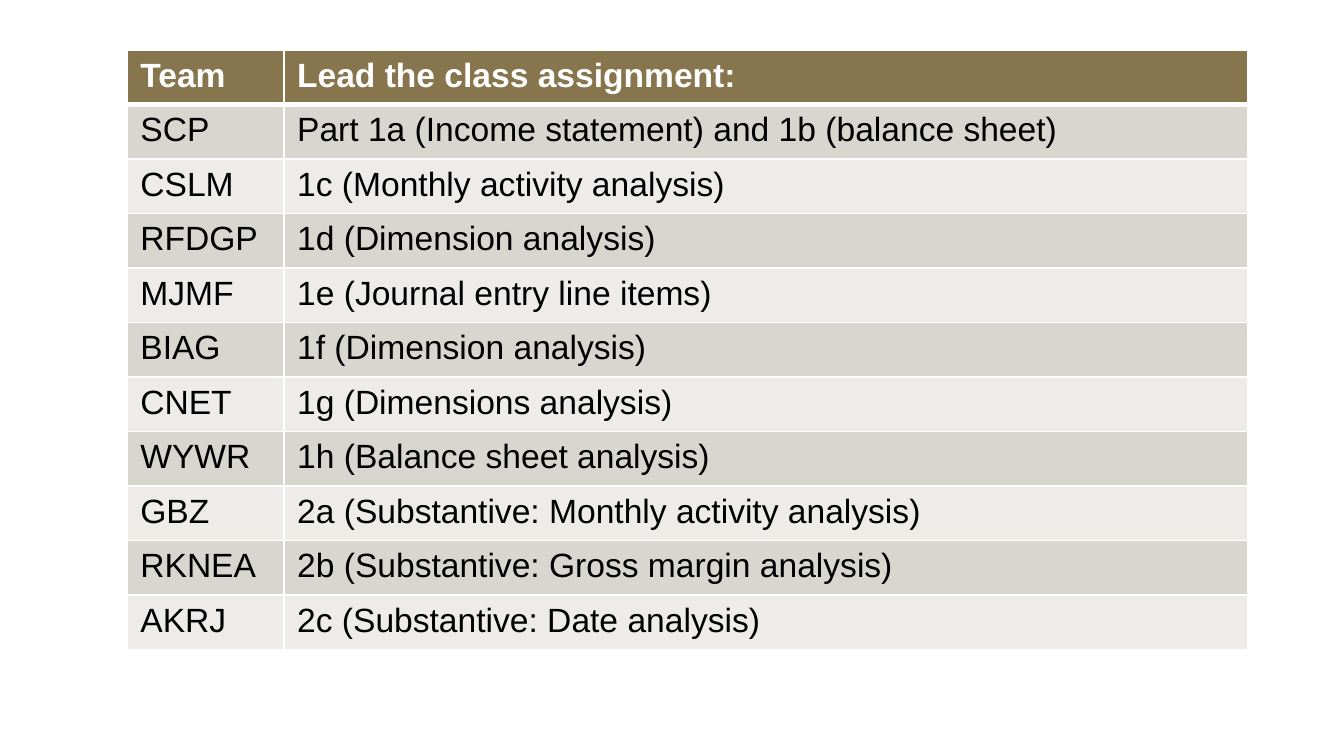
from lxml import etree
from pptx import Presentation
from pptx import util as u
from pptx.dml.color import RGBColor
from pptx.enum import text
from pptx.oxml import ns

WHITE = RGBColor(0xFF, 0xFF, 0xFF)
BLACK = RGBColor(0x00, 0x00, 0x00)
BROWN = RGBColor(0x86, 0x75, 0x4D)
DARK_BAND = RGBColor(0xD9, 0xD6, 0xD0)
LIGHT_BAND = RGBColor(0xED, 0xEC, 0xE9)

HEADER = ("Team", "Lead the class assignment:")
ASSIGNMENTS = [
    ("SCP", "Part 1a (Income statement) and 1b (balance sheet)"),
    ("CSLM", "1c (Monthly activity analysis)"),
    ("RFDGP", "1d (Dimension analysis)"),
    ("MJMF", "1e (Journal entry line items)"),
    ("BIAG", "1f (Dimension analysis)"),
    ("CNET", "1g (Dimensions analysis)"),
    ("WYWR", "1h (Balance sheet analysis)"),
    ("GBZ", "2a (Substantive: Monthly activity analysis)"),
    ("RKNEA", "2b (Substantive: Gross margin analysis)"),
    ("AKRJ", "2c (Substantive: Date analysis)"),
]


class PageBuilder:
    font_name = "Arial"
    font_size = u.Pt(18)
    thin = u.Pt(1)
    thick = u.Pt(3)

    def __init__(self, page):
        self.page = page

    def border(self, cell, top, bottom):
        properties = cell._tc.get_or_add_tcPr()
        widths = {"L": self.thin, "R": self.thin, "T": top, "B": bottom}
        for position, (side, width) in enumerate(widths.items()):
            line = etree.Element(ns.qn(f"a:ln{side}"), w=str(width))
            fill = etree.SubElement(line, ns.qn("a:solidFill"))
            etree.SubElement(fill, ns.qn("a:srgbClr"), val=str(WHITE))
            properties.insert(position, line)

    def cell(self, cell, words, fill, color, bold):
        cell.fill.solid()
        cell.fill.fore_color.rgb = fill
        cell.vertical_anchor = text.MSO_ANCHOR.TOP
        span = cell.text_frame.paragraphs[0].add_run()
        span.text = words
        span.font.name = self.font_name
        span.font.size = self.font_size
        span.font.bold = bold
        span.font.color.rgb = color

    def table(self, left, top, column_widths, row_height, rows):
        frame = self.page.shapes.add_table(
            len(rows), len(column_widths), u.Pt(left), u.Pt(top),
            u.Pt(sum(column_widths)), u.Pt(row_height * len(rows)))
        table = frame.table
        for column, width in zip(table.columns, column_widths):
            column.width = u.Pt(width)
        for index, row in enumerate(rows):
            table.rows[index].height = u.Pt(row_height)
            is_header = index == 0
            band = DARK_BAND if index % 2 else LIGHT_BAND
            for column, words in enumerate(row):
                cell = table.cell(index, column)
                self.cell(cell, words, BROWN if is_header else band,
                          WHITE if is_header else BLACK, is_header)
                # The heavy rule lies between the header and the first team
                self.border(cell, self.thick if index == 1 else self.thin,
                            self.thick if is_header else self.thin)


def main():
    deck = Presentation()
    deck.slide_width, deck.slide_height = u.Pt(720), u.Pt(405)
    builder = PageBuilder(deck.slides.add_slide(deck.slide_layouts[6]))

    # Team assignments
    builder.table(68, 26.8, (84, 516.5), 29.2, [HEADER, *ASSIGNMENTS])

    deck.save("out.pptx")


if __name__ == "__main__":
    main()
